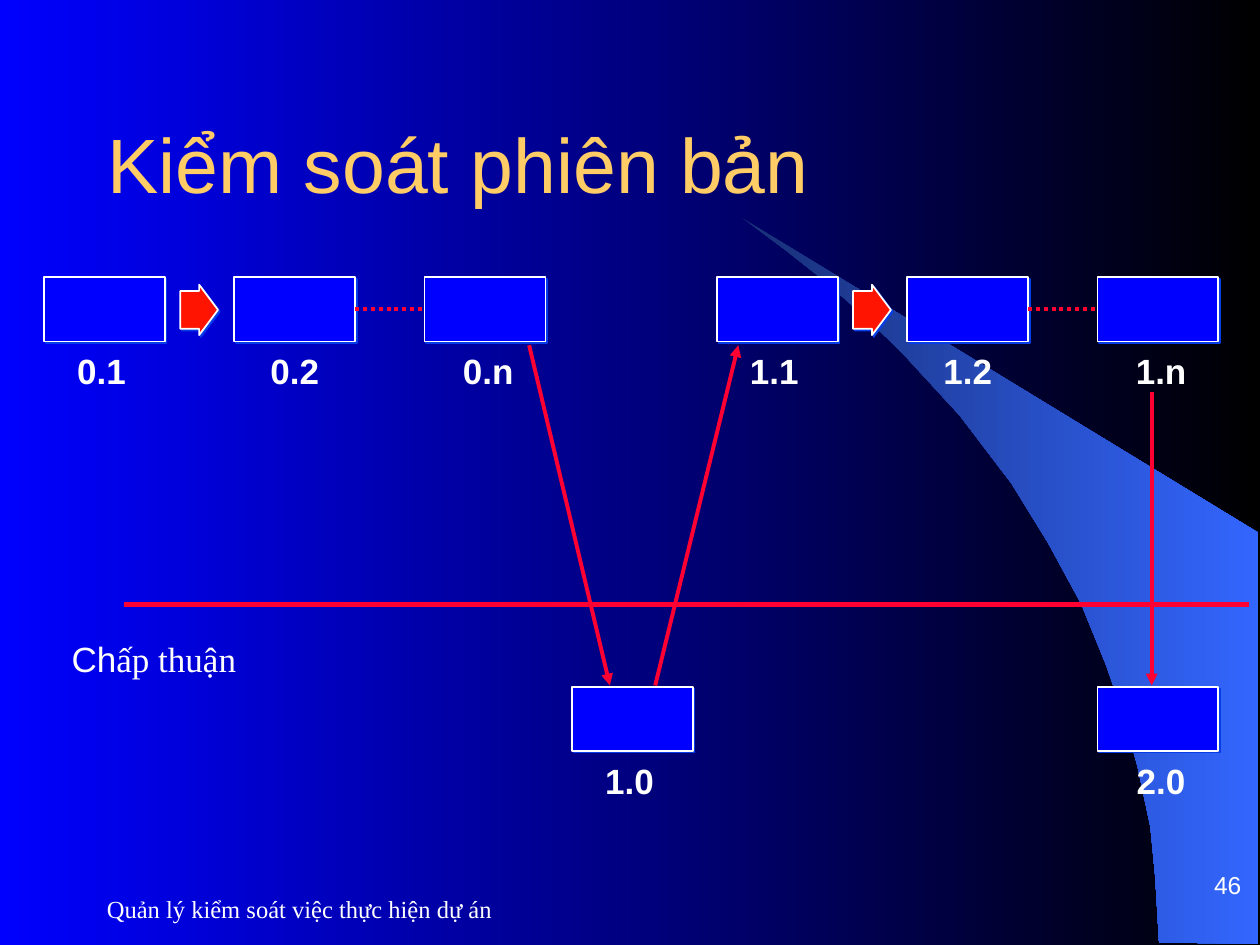
from lxml import etree
from pptx import Presentation
from pptx.dml.color import RGBColor
from pptx.enum.dml import MSO_LINE
from pptx.enum.shapes import MSO_CONNECTOR, MSO_SHAPE
from pptx.enum.text import MSO_ANCHOR, PP_ALIGN
from pptx.oxml import parse_xml
from pptx.oxml.ns import nsdecls, qn
from pptx.util import Pt

STRAIGHT = MSO_CONNECTOR.STRAIGHT
RECTANGLE, RIGHT_ARROW = MSO_SHAPE.RECTANGLE, MSO_SHAPE.RIGHT_ARROW
LEFT, CENTER, RIGHT = PP_ALIGN.LEFT, PP_ALIGN.CENTER, PP_ALIGN.RIGHT
TOP, MIDDLE, BOTTOM = MSO_ANCHOR.TOP, MSO_ANCHOR.MIDDLE, MSO_ANCHOR.BOTTOM
DOTTED = MSO_LINE.ROUND_DOT
SANS, SERIF = "Arial", "Times New Roman"
COLORS = {
    "blue": "0000FF", "black": "000000", "white": "FFFFFF", "title": "FFCC66",
    "line": "FF0033", "arrow": "FF1301", "shadow": "063DE8",
    "swoosh_dark": "182F76", "swoosh_light": "3366FF",
}

# Version boxes and their labels, in points
BOX_WIDTH, BOX_HEIGHT, BOX_PITCH = 69.1, 36.7, 108.7
LABEL_WIDTH, LABEL_HEIGHT, LABEL_PITCH = 52.6, 28.8, 110.5
LABEL_DROP = 40.6
DRAFT_TOP, RELEASE_TOP = 158.4, 392.4
SWOOSH = [
    (662.4, 538.6), (719.3, 539.3), (719.3, 304.6), (424.1, 124.6),
    (449.3, 143.3), (470.2, 159.8), (493.2, 180), (515.5, 201.6),
    (548.6, 237.6), (578.2, 276.5), (599, 310.3), (617.8, 344.9),
    (632.2, 380.2), (643, 411.8), (650.2, 438.5), (657.4, 472.3),
    (660.2, 501.1),
]


def rgb(name):
    return RGBColor.from_string(COLORS[name])


def set_gradient(fill, *names):
    fill.gradient()
    fill.gradient_angle = 0
    for stop, name in zip(fill.gradient_stops, names):
        stop.color.rgb = rgb(name)


def format_run(run, size, font=SANS, color="white", bold=False):
    run.font.size = Pt(size)
    run.font.name = font
    run.font.bold = bold
    run.font.color.rgb = rgb(color)


def add_text(slide, box, runs, size, align=LEFT, anchor=TOP, bold=False, spacing=1.0):
    """Add one paragraph made of (text, font) runs."""
    text_frame = slide.shapes.add_textbox(*map(Pt, box)).text_frame
    text_frame.word_wrap = True
    text_frame.vertical_anchor = anchor
    paragraph = text_frame.paragraphs[0]
    paragraph.alignment = align
    paragraph.line_spacing = spacing
    for text, font in runs:
        run = paragraph.add_run()
        run.text = text
        format_run(run, size, font, bold=bold)
    return text_frame


def add_block(slide, kind, box, color):
    """Add a white-edged shape with a small hard shadow."""
    shape = slide.shapes.add_shape(kind, *map(Pt, box))
    shape.fill.solid()
    shape.fill.fore_color.rgb = rgb(color)
    shape.line.color.rgb = rgb("white")
    shape.line.width = Pt(1)
    shape.shadow.inherit = False
    effects = shape._element.spPr.find(qn("a:effectLst"))
    effects.append(parse_xml(
        f'<a:outerShdw {nsdecls("a")} dist="{Pt(1.4)}" dir="2700000" algn="ctr" '
        f'rotWithShape="0"><a:srgbClr val="{COLORS["shadow"]}"/></a:outerShdw>'))
    return shape


def add_version(slide, left, top, text, label_left):
    box = add_block(slide, RECTANGLE, (left, top, BOX_WIDTH, BOX_HEIGHT), "blue")
    add_text(slide, (label_left, top + LABEL_DROP, LABEL_WIDTH, LABEL_HEIGHT),
             [(text, SANS)], 20, CENTER, bold=True, spacing=0.9)
    return box


def add_line(slide, start, end, width=2.25, dash=None, arrow=False):
    connector = slide.shapes.add_connector(STRAIGHT, *map(Pt, (*start, *end)))
    connector.line.color.rgb = rgb("line")
    connector.line.width = Pt(width)
    if dash:
        connector.line.dash_style = dash
    if arrow:
        etree.SubElement(connector.line._get_or_add_ln(), qn("a:tailEnd"), type="triangle")
    etree.SubElement(connector._element.spPr, qn("a:effectLst"))
    return connector


def add_draft_series(slide, left, label_left, versions):
    """Add three versions: an arrow to the second, dots to the last."""
    boxes = [
        add_version(slide, left + index * BOX_PITCH, DRAFT_TOP, version,
                    label_left + index * LABEL_PITCH)
        for index, version in enumerate(versions)
    ]
    arrow = add_block(slide, RIGHT_ARROW, (left + 77.8, 162.7, 21.6, 28.8), "arrow")
    arrow.adjustments[0] = 0.75
    arrow.adjustments[1] = 0.5
    dots = add_line(slide, (0, 0), (0, 0), dash=DOTTED)
    dots.begin_connect(boxes[1], 3)
    dots.end_connect(boxes[2], 1)


def add_swoosh(slide):
    points = [(Pt(x), Pt(y)) for x, y in SWOOSH]
    builder = slide.shapes.build_freeform(*points[0])
    builder.add_line_segments(points[1:], close=True)
    swoosh = builder.convert_to_shape()
    set_gradient(swoosh.fill, "swoosh_dark", "swoosh_light")
    swoosh.line.fill.background()
    swoosh.shadow.inherit = False


def set_title(slide, text):
    title = slide.shapes.title
    title.left, title.top, title.width, title.height = map(Pt, (54, 48.2, 636.5, 90))
    title.text_frame.text = text
    title.text_frame.vertical_anchor = MIDDLE
    paragraph = title.text_frame.paragraphs[0]
    paragraph.alignment = LEFT
    format_run(paragraph.runs[0], 44, color="title")


def main():
    presentation = Presentation()
    presentation.slide_width, presentation.slide_height = Pt(720), Pt(540)
    slide = presentation.slides.add_slide(presentation.slide_layouts[5])

    # Background, title and footer
    set_gradient(slide.background.fill, "blue", "black")
    add_swoosh(slide)
    set_title(slide, "Kiểm soát phiên bản")
    add_text(slide, (54, 501.1, 336.2, 36),
             [("Quản lý kiểm soát việc thực hiện dự án", SERIF)], 14, anchor=MIDDLE)
    number = add_text(slide, (566.6, 483.8, 149.8, 30.2), [("46", SANS)], 14, RIGHT, BOTTOM)
    number.margin_top = number.margin_bottom = 0

    # Draft versions above the approval line, releases below it
    add_draft_series(slide, 25.2, 31.7, ["0.1", "0.2", "0.n"])
    add_draft_series(slide, 409.7, 416.2, ["1.1", "1.2", "1.n"])
    add_version(slide, 326.9, RELEASE_TOP, "1.0", 333.4)
    add_version(slide, 627.1, RELEASE_TOP, "2.0", 637.2)

    # Approval line
    add_line(slide, (70.6, 345.6), (713.5, 345.6), width=3)
    add_text(slide, (33.8, 363.6, 128.2, 28.8),
             [("Ch", SANS), ("ấp thuận", SERIF)], 20, spacing=0.9)

    # Steps between drafts and releases
    for start, end in [((302.4, 197.3), (348.5, 391.7)),
                       ((374.4, 391.7), (421.9, 197.3)),
                       ((658.1, 223.9), (658.1, 391.7))]:
        add_line(slide, start, end, arrow=True)

    presentation.save("out.pptx")


if __name__ == "__main__":
    main()
